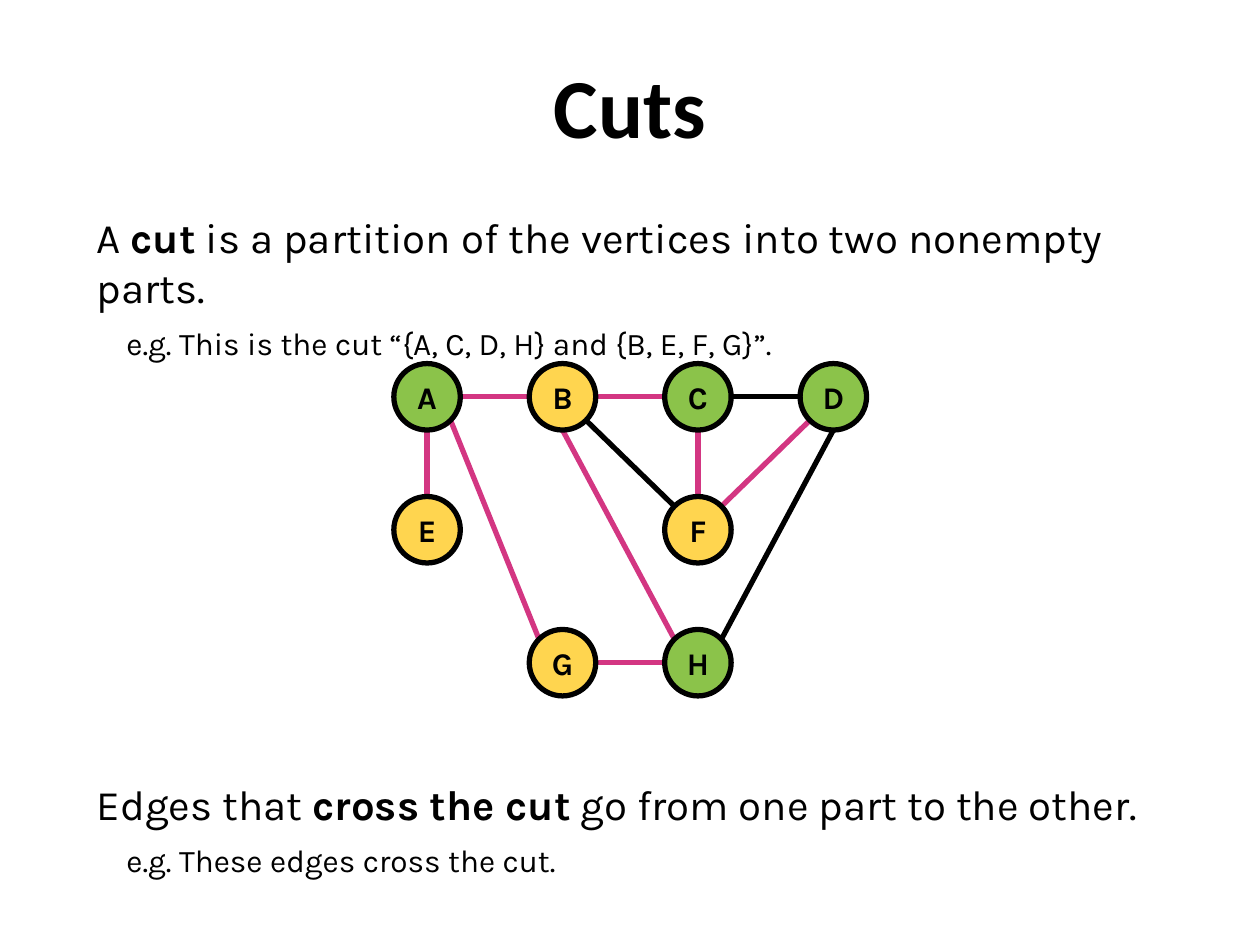
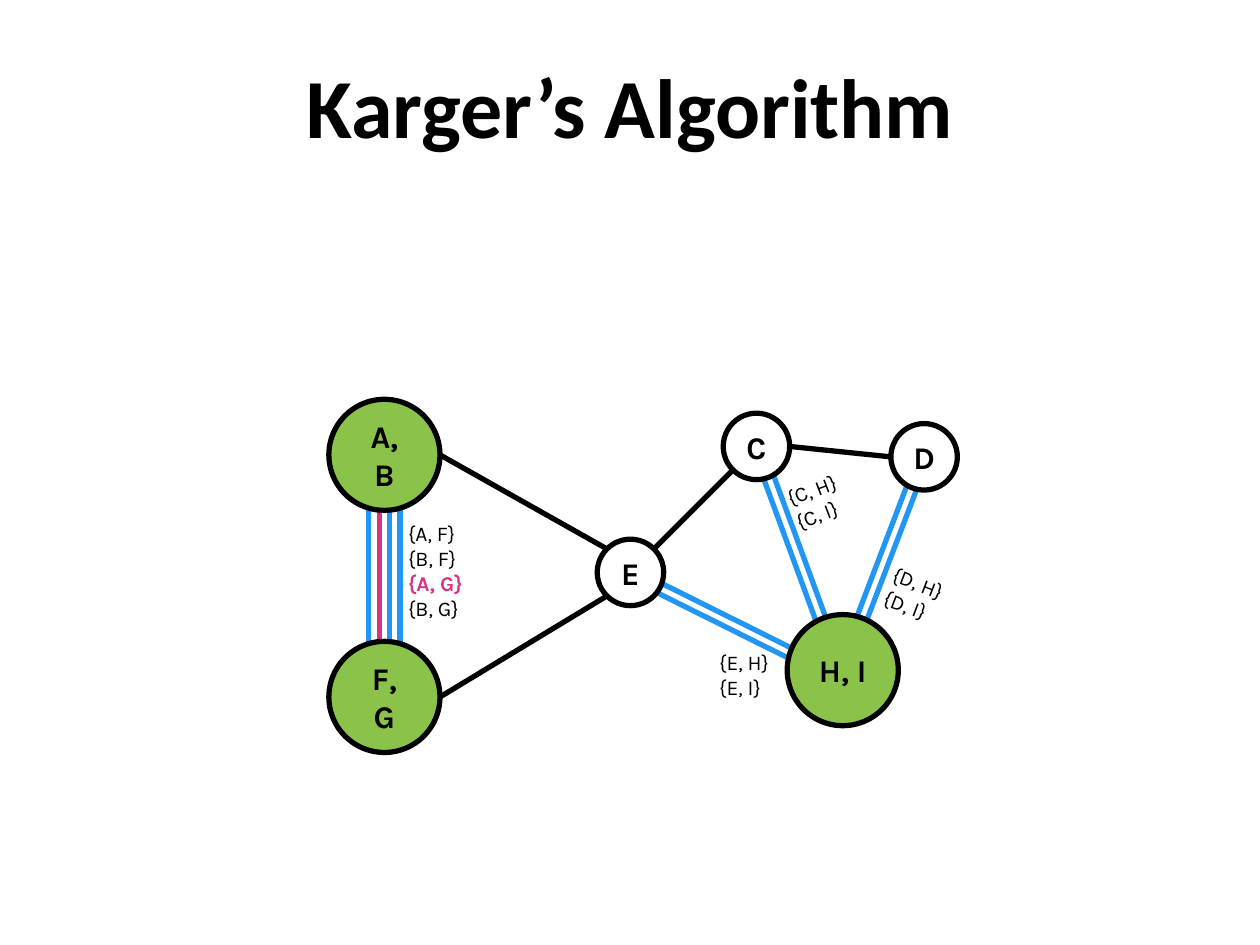
"""Build two slides on graph cuts and Karger's algorithm."""
from math import cos, hypot, radians, sin

from lxml.etree import SubElement
from pptx import Presentation
from pptx.dml.color import RGBColor
from pptx.enum.shapes import MSO_CONNECTOR as Connector, MSO_SHAPE as Shape
from pptx.enum.text import MSO_ANCHOR as Anchor, PP_ALIGN as Align
from pptx.oxml.ns import qn
from pptx.util import Cm, Pt

BLACK = RGBColor(0x00, 0x00, 0x00)
WHITE = RGBColor(0xFF, 0xFF, 0xFF)
GREEN = RGBColor(0x8B, 0xC3, 0x4A)
YELLOW = RGBColor(0xFF, 0xD5, 0x4F)
PINK = RGBColor(0xD3, 0x36, 0x82)
BLUE = RGBColor(0x21, 0x96, 0xF3)
TITLE_FONT, BODY_FONT = "Calibri", "Karla"
STROKE = Pt(3)
INSET = Cm(0.25)
SMALL, LARGE = 0.67, 1.12
EDGE_GAP = 0.21
ANGLES = {"r": 0, "br": 45, "b": 90, "bl": 135, "l": 180, "tl": 225, "t": 270, "tr": 315}


def style_run(run, size, color=BLACK, bold=False, font=BODY_FONT):
    """Set the font of a run."""
    run.font.name = font
    run.font.size = Pt(size)
    run.font.bold = bold
    run.font.color.rgb = color


def prepare_frame(shape):
    """Give a shape's text frame wrapping and equal insets."""
    frame = shape.text_frame
    frame.word_wrap = True
    frame.margin_left = frame.margin_right = INSET
    frame.margin_top = frame.margin_bottom = INSET
    return frame


def add_text_area(slide, left, top, width, height, rotation=0):
    """Add a text box and return its frame."""
    box = slide.shapes.add_textbox(Cm(left), Cm(top), Cm(width), Cm(height))
    box.rotation = rotation
    return prepare_frame(box)


def add_title(slide, title):
    """Add the centred title shared by the slides."""
    frame = add_text_area(slide, 0, 0.85, 25.4, 3.17)
    frame.text = title
    heading = frame.paragraphs[0]
    heading.alignment = Align.CENTER
    style_run(heading.runs[0], 48, bold=True, font=TITLE_FONT)


def add_statement(paragraph, before, term, after):
    """Write a sentence with its key term in bold."""
    for words, bold in ((before, False), (term, True), (after, False)):
        run = paragraph.add_run()
        run.text = words
        style_run(run, 24, bold=bold)


def add_example(frame, example):
    """Write an indented example under a statement."""
    paragraph = frame.add_paragraph()
    paragraph.text = example
    paragraph.space_before = Pt(7)
    paragraph._p.get_or_add_pPr().set("marL", str(Cm(0.6)))
    style_run(paragraph.runs[0], 18)


def add_edge(slide, start, end, color=BLACK):
    """Draw a straight edge between two points."""
    (x1, y1), (x2, y2) = start, end
    edge = slide.shapes.add_connector(Connector.STRAIGHT, Cm(x1), Cm(y1), Cm(x2), Cm(y2))
    edge.line.color.rgb = color
    edge.line.width = STROKE
    SubElement(edge._element.spPr, qn("a:effectLst"))


def add_parallel_edges(slide, start, end, colors):
    """Draw evenly spaced edges on both sides of a middle line."""
    (x1, y1), (x2, y2) = start, end
    length = hypot(x2 - x1, y2 - y1)
    across_x, across_y = (y2 - y1) / length, (x1 - x2) / length
    for index, color in enumerate(colors):
        shift = (index - (len(colors) - 1) / 2) * EDGE_GAP
        dx, dy = across_x * shift, across_y * shift
        add_edge(slide, (x1 + dx, y1 + dy), (x2 + dx, y2 + dy), color)


def rim_point(node, side):
    """Return the point on a node's rim at the named side."""
    x, y, radius, _ = node
    angle = radians(ANGLES[side])
    return x + radius * cos(angle), y + radius * sin(angle)


def add_node(slide, name, node):
    """Draw a named vertex."""
    x, y, radius, color = node
    vertex = slide.shapes.add_shape(
        Shape.OVAL, Cm(x - radius), Cm(y - radius), Cm(2 * radius), Cm(2 * radius))
    vertex.shadow.inherit = False
    vertex.fill.solid()
    vertex.fill.fore_color.rgb = color
    vertex.line.color.rgb = BLACK
    vertex.line.width = STROKE
    frame = prepare_frame(vertex)
    frame.vertical_anchor = Anchor.MIDDLE
    frame.text = name
    frame.paragraphs[0].alignment = Align.CENTER
    style_run(frame.paragraphs[0].runs[0], 18, bold=True)


def add_graph(slide, nodes, edges):
    """Draw edges between node rims, then the nodes over them."""
    for first, first_side, second, second_side, color in edges:
        add_edge(slide, rim_point(nodes[first], first_side),
                 rim_point(nodes[second], second_side), color)
    for name, node in nodes.items():
        add_node(slide, name, node)


def add_edge_names(slide, left, top, width, height, names, rotation=0, chosen=None):
    """List the original edges beside a bundle, with the chosen one in pink."""
    frame = add_text_area(slide, left, top, width, height, rotation)
    frame.text = "\n".join(names)
    for name, paragraph in zip(names, frame.paragraphs):
        picked = name == chosen
        style_run(paragraph.runs[0], 12, PINK if picked else BLACK, picked)


def build_cuts(slide):
    """Define a cut and show its crossing edges."""
    frame = add_text_area(slide, 1.7, 4.01, 22.02, 15.04)
    add_statement(frame.paragraphs[0], "A ", "cut",
                  " is a partition of the vertices into two nonempty parts.")
    add_example(frame, "e.g. This is the cut “{A, C, D, H} and {B, E, F, G}”.")
    crossing = frame.add_paragraph()
    crossing.space_before = Pt(238)
    add_statement(crossing, "Edges that ", "cross the cut",
                  " go from one part to the other.")
    add_example(frame, "e.g. These edges cross the cut.")
    add_title(slide, "Cuts")

    grid = {"A": (0, 0), "B": (1, 0), "C": (2, 0), "D": (3, 0),
            "E": (0, 1), "F": (2, 1), "G": (1, 2), "H": (2, 2)}
    nodes = {name: (8.61 + 2.73 * column, 8 + 2.68 * row, SMALL,
                    GREEN if name in "ACDH" else YELLOW)
             for name, (column, row) in grid.items()}
    links = [("A", "r", "B", "l"), ("A", "b", "E", "t"), ("B", "r", "C", "l"),
             ("F", "tr", "D", "bl"), ("H", "tr", "D", "b"), ("A", "br", "G", "tl"),
             ("G", "r", "H", "l"), ("C", "b", "F", "t"), ("B", "b", "H", "tl"),
             ("B", "br", "F", "tl"), ("C", "r", "D", "l")]
    edges = [(*link, BLACK if nodes[link[0]][3] == nodes[link[2]][3] else PINK)
             for link in links]
    add_graph(slide, nodes, edges)


def build_karger(slide):
    """Show a contracted graph with its parallel edges."""
    add_title(slide, "Karger’s Algorithm")
    pair = [BLUE, BLUE]
    add_parallel_edges(slide, (12.62, 11.52), (17.6, 14), pair)
    add_parallel_edges(slide, (7.75, 13.89), (7.75, 9.5), [BLUE, PINK, BLUE, BLUE][::-1])
    add_parallel_edges(slide, (18.59, 9.28), (17.03, 13.37), pair)
    add_parallel_edges(slide, (15.18, 8.76), (17.09, 13.96), pair)

    nodes = {"E": (12.71, 11.54, SMALL, WHITE), "A, B": (7.75, 9.17, LARGE, GREEN),
             "C": (15.25, 9, SMALL, WHITE), "D": (18.63, 9.21, SMALL, WHITE),
             "H, I": (16.99, 13.51, LARGE, GREEN), "F, G": (7.75, 14.05, LARGE, GREEN)}
    edges = [("A, B", "r", "E", "tl", BLACK), ("F, G", "r", "E", "bl", BLACK),
             ("E", "tr", "C", "bl", BLACK), ("C", "r", "D", "l", BLACK)]
    add_graph(slide, nodes, edges)

    add_edge_names(slide, 7.98, 10.24, 1.78, 2.51,
                   ["{A, F}", "{B, F}", "{A, G}", "{B, G}"], chosen="{A, G}")
    for vertex, left, top, rotation in (("D", 17.63, 11.25, 20.9),
                                        ("C", 15.7, 9.32, 339.2),
                                        ("E", 14.25, 12.85, 0)):
        names = [f"{{{vertex}, {other}}}" for other in "HI"]
        add_edge_names(slide, left, top, 1.68, 1.6, names, rotation)


def main():
    """Build and save the presentation."""
    deck = Presentation()
    deck.slide_width, deck.slide_height = Cm(25.4), Cm(19.05)
    for build in (build_cuts, build_karger):
        build(deck.slides.add_slide(deck.slide_layouts[6]))
    deck.save("out.pptx")


main()
